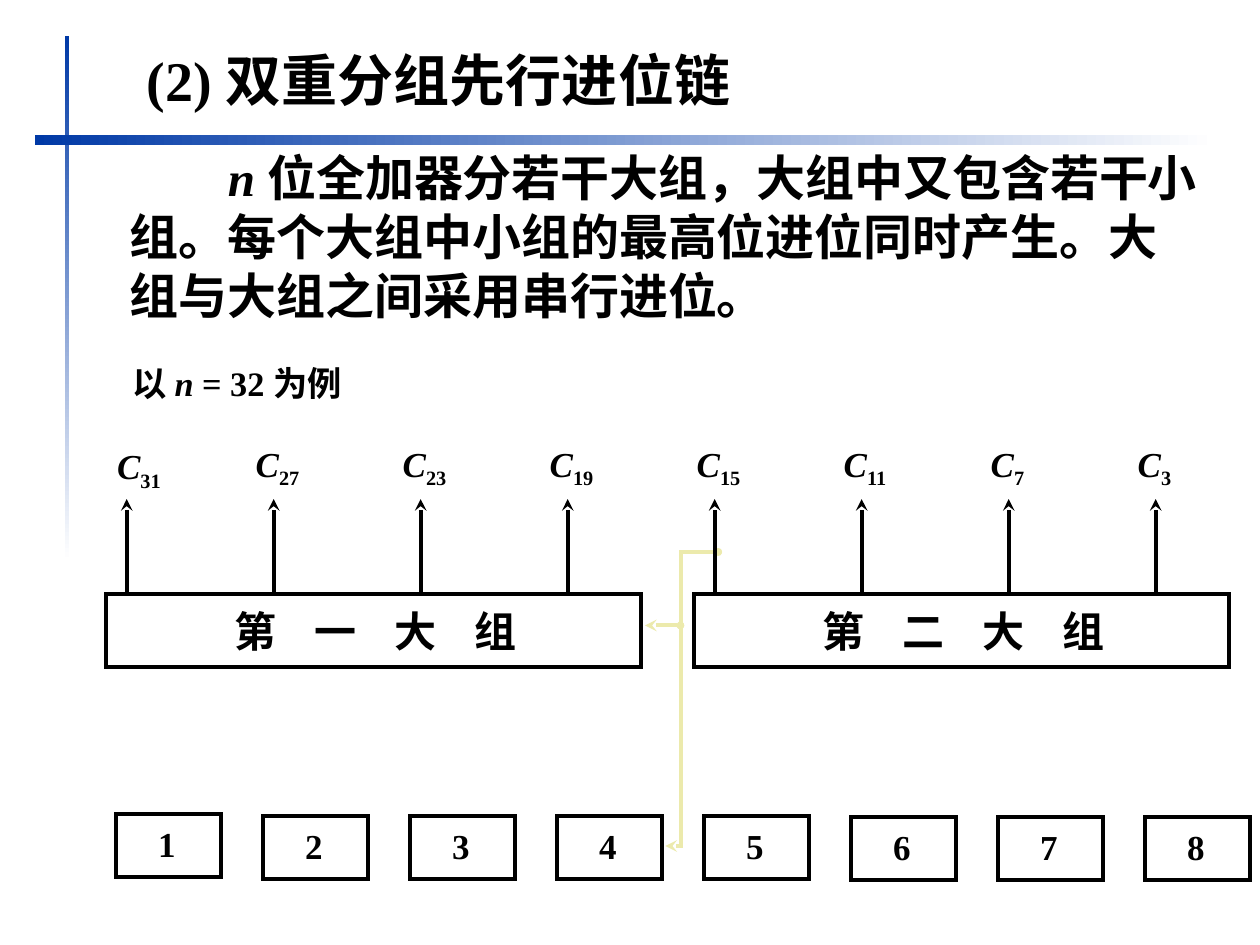
from dataclasses import dataclass

from lxml import etree
from pptx import Presentation
from pptx.dml.color import RGBColor
from pptx.enum import shapes, text
from pptx.oxml import ns
from pptx.util import Pt

COLORS = {"ink": "000000", "bar": "0039A6", "paper": "FFFFFF", "carry": "ECEAAC"}
FONT = "Times New Roman"
LINE_WIDTH = 2.25
PITCH = 84
FIRST_ARROW, ARROW_TOP, GROUP_TOP = 72.4, 285.2, 339.2
FIRST_BOX = 66.3
SIDES = ("margin_left", "margin_top", "margin_right", "margin_bottom")
STEALTH = {"type": "stealth"}
SMALL_DOT = {"type": "oval", "w": "sm", "len": "sm"}


@dataclass
class Span:
    text: str
    italic: bool = False
    subscript: bool = False


@dataclass
class SmallGroup:
    """One column: a carry output above and a numbered box below."""
    carry: str
    label_left: float
    label_top: float
    box_top: float


@dataclass
class LargeGroup:
    ordinal: str
    left: float


SMALL_GROUPS = [SmallGroup("31", 59.8, 250.6, 465)]
SMALL_GROUPS += [
    SmallGroup(carry, 55 + PITCH * i, 249.1, 466.2 if i < 5 else 466.8)
    for i, carry in enumerate(["27", "23", "19", "15", "11", "7", "3"], start=1)
]
LARGE_GROUPS = [LargeGroup("一", 60.5), LargeGroup("二", 396.5)]


def rgb(name: str) -> RGBColor:
    return RGBColor.from_string(COLORS[name])


def set_all(target, values: dict) -> None:
    for name, value in values.items():
        setattr(target, name, value)


def place(shape, left: float, top: float, width: float, height: float) -> None:
    set_all(shape, {"left": Pt(left), "top": Pt(top),
                    "width": Pt(width), "height": Pt(height)})


def write(shape, spans: list[Span], size: float, margins=(7.2, 3.6, 7.2, 3.6),
          wrap=True, anchor=text.MSO_ANCHOR.MIDDLE, align=text.PP_ALIGN.LEFT):
    """Fill the shape with one paragraph; margins run left, top, right, bottom."""
    frame = shape.text_frame
    set_all(frame, {"word_wrap": wrap, "auto_size": text.MSO_AUTO_SIZE.NONE,
                    "vertical_anchor": anchor})
    set_all(frame, dict(zip(SIDES, map(Pt, margins))))
    para = frame.paragraphs[0]
    para.alignment = align
    for span in spans:
        run = para.add_run()
        run.text = span.text
        set_all(run.font, {"name": FONT, "size": Pt(size), "bold": True,
                           "italic": span.italic})
        run.font.color.rgb = rgb("ink")
        if span.subscript:
            run.font._element.set("baseline", "-25000")
    return para


def add_text(page, area: tuple, spans: list[Span], size: float, **options):
    return write(page.shapes.add_textbox(*map(Pt, area)), spans, size, **options)


def add_box(page, *area: float):
    box = page.shapes.add_shape(shapes.MSO_SHAPE.RECTANGLE, *map(Pt, area))
    box.shadow.inherit = False
    box.fill.background()
    stroke(box, "ink")
    return box


def add_bar(page, area: tuple, angle: float) -> None:
    bar = page.shapes.add_shape(shapes.MSO_SHAPE.RECTANGLE, *map(Pt, area))
    bar.shadow.inherit = False
    bar.line.fill.background()
    bar.fill.gradient()
    bar.fill.gradient_angle = angle
    for stop, name in zip(bar.fill.gradient_stops, ("bar", "paper")):
        stop.color.rgb = rgb(name)


def stroke(shape, color: str, **ends: dict) -> None:
    """Draw a sharp-cornered outline; ends maps headEnd or tailEnd to arrowheads."""
    shape.line.color.rgb = rgb(color)
    shape.line.width = Pt(LINE_WIDTH)
    outline = shape.line._get_or_add_ln()
    etree.SubElement(outline, ns.qn("a:miter"), lim="800000")
    for tag, arrowhead in ends.items():
        etree.SubElement(outline, ns.qn(f"a:{tag}"), arrowhead)


def add_line(page, start: tuple, finish: tuple, color: str, **ends: dict) -> None:
    line = page.shapes.add_connector(
        shapes.MSO_CONNECTOR.STRAIGHT, *map(Pt, start + finish))
    stroke(line, color, **ends)
    etree.SubElement(line._element.spPr, ns.qn("a:effectLst"))


def add_carry_path(page) -> None:
    """Carry from the second large group to the first and to box 4."""
    ends = {"headEnd": STEALTH, "tailEnd": SMALL_DOT}
    add_line(page, (368.6, 357.4), (388.8, 357.4), "carry", **ends)
    builder = page.shapes.build_freeform(Pt(380.2), Pt(483.4))
    corners = [(389, 483.4), (389, 315.4), (410.4, 315.4)]
    builder.add_line_segments([(Pt(x), Pt(y)) for x, y in corners], close=False)
    route = builder.convert_to_shape()
    route.shadow.inherit = False
    route.fill.background()
    stroke(route, "carry", **ends)


def add_large_group(page, group: LargeGroup) -> None:
    box = add_box(page, group.left, GROUP_TOP, 306, 41.8)
    label = "\t".join(["第", group.ordinal, "大", "组"])
    para = write(box, [Span(label)], 24, margins=(73.5, 0, 0, 0))
    tabs = etree.SubElement(para._p.get_or_add_pPr(), ns.qn("a:tabLst"))
    for stop in range(1, 4):
        etree.SubElement(tabs, ns.qn("a:tab"),
                         pos=str(Pt(45.7 * stop)), algn="l")


def add_small_group(page, index: int, group: SmallGroup) -> None:
    box = add_box(page, FIRST_BOX + PITCH * index, group.box_top, 59.8, 36)
    write(box, [Span(str(index + 1))], 20, margins=(0, 0, 1.6, 2),
          align=text.PP_ALIGN.CENTER)
    x = FIRST_ARROW + PITCH * index
    add_line(page, (x, GROUP_TOP), (x, ARROW_TOP), "ink", tailEnd=STEALTH)
    width = 39.6 if len(group.carry) == 2 else 33.1
    add_text(page, (group.label_left, group.label_top, width, 34.6),
             [Span("C", italic=True), Span(group.carry, subscript=True)], 20,
             wrap=False, anchor=text.MSO_ANCHOR.TOP)


def main() -> None:
    deck = Presentation()
    set_all(deck, {"slide_width": Pt(720), "slide_height": Pt(540)})
    page = deck.slides.add_slide(deck.slide_layouts[5])

    title = page.shapes.title
    place(title, 76.5, 18, 570, 54)
    write(title, [Span("(2) 双重分组先行进位链")], 32)
    add_bar(page, (36.9, 20.4, 2.6, 300), 270)
    add_bar(page, (19.8, 77, 675, 5.8), 0)

    body = add_text(page, (74.2, 66, 612, 138), [
        Span("n ", italic=True),
        Span("位全加器分若干大组，大组中又包含若干小组。每个大组中小组的"
             "最高位进位同时产生。大组与大组之间采用串行进位。"),
    ], 28, margins=(0, 0, 0, 0))
    body._p.get_or_add_pPr().set("indent", str(Pt(56)))
    example = add_text(page, (75.8, 207, 198.7, 28), [
        Span("以 "), Span("n", italic=True), Span(" = 32 为例"),
    ], 19.6, margins=(0, 0, 0, 0))
    example.line_spacing = 0.8

    add_carry_path(page)
    for group in LARGE_GROUPS:
        add_large_group(page, group)
    for index, group in enumerate(SMALL_GROUPS):
        add_small_group(page, index, group)
    deck.save("out.pptx")


if __name__ == "__main__":
    main()
